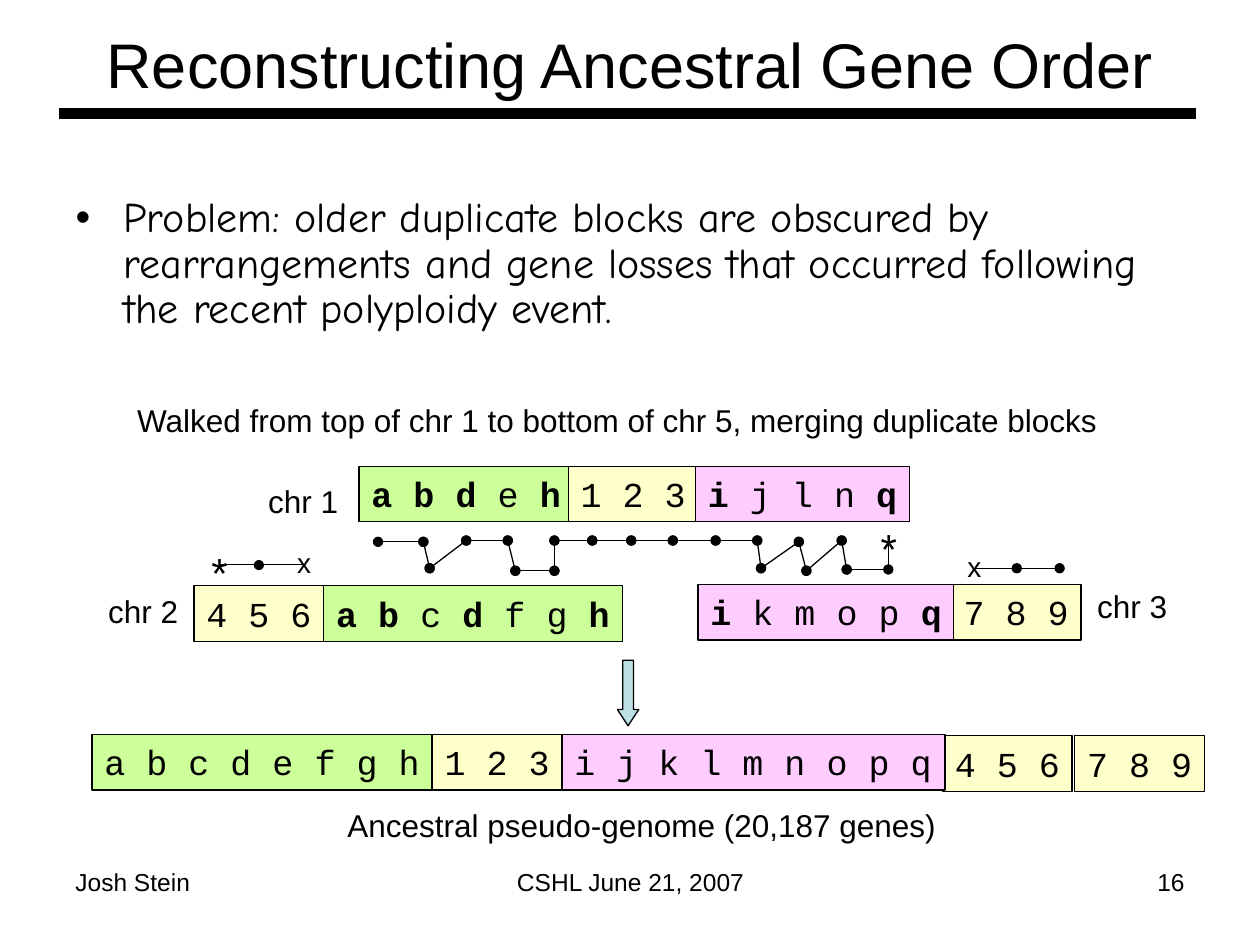
from dataclasses import dataclass
from itertools import pairwise

from lxml.etree import SubElement
from pptx import Presentation
from pptx.dml.color import RGBColor
from pptx.enum.shapes import MSO_CONNECTOR, MSO_SHAPE
from pptx.enum.text import MSO_ANCHOR, MSO_AUTO_SIZE, PP_ALIGN
from pptx.oxml.ns import qn
from pptx.util import Inches, Pt


@dataclass(frozen=True)
class Theme:
    """Colours, fonts and type sizes of the slide."""

    ink: RGBColor = RGBColor.from_string("000000")
    green: RGBColor = RGBColor.from_string("CCFF99")
    yellow: RGBColor = RGBColor.from_string("FFFFCC")
    pink: RGBColor = RGBColor.from_string("FFCCFF")
    blue: RGBColor = RGBColor.from_string("BBE0E3")
    sans: str = "Arial"
    hand: str = "Comic Neue"
    mono: str = "Courier New"
    title: int = 36
    body: int = 24
    gene: int = 20
    label: int = 18
    mark: int = 16
    footer: int = 14
    hairline: float = 0.75
    rule: float = 6


class SlideBuilder:
    """Adds styled elements to the current slide."""

    def __init__(self, slide, theme):
        """Keep the slide and its theme."""
        self.slide = slide
        self.theme = theme

    def style(self, paragraph, size, name):
        """Set the font of a paragraph."""
        paragraph.font.size = Pt(size)
        paragraph.font.name = name
        paragraph.font.color.rgb = self.theme.ink

    def place(self, shape, left, top, width, height):
        """Move and resize a placeholder."""
        shape.left, shape.top = Inches(left), Inches(top)
        shape.width, shape.height = Inches(width), Inches(height)
        shape.text_frame.auto_size = MSO_AUTO_SIZE.NONE

    def title(self, text, *box):
        """Fill the title placeholder."""
        shape = self.slide.shapes.title
        self.place(shape, *box)
        shape.text_frame.text = text
        shape.text_frame.vertical_anchor = MSO_ANCHOR.MIDDLE
        paragraph = shape.text_frame.paragraphs[0]
        paragraph.alignment = PP_ALIGN.CENTER
        self.style(paragraph, self.theme.title, self.theme.sans)

    def bullet(self, text, *box):
        """Fill the body placeholder with one bullet."""
        shape = self.slide.placeholders[1]
        self.place(shape, *box)
        shape.text_frame.text = text
        paragraph = shape.text_frame.paragraphs[0]
        paragraph.line_spacing = 0.9
        paragraph.space_before = Pt(0)
        properties = paragraph._p.get_or_add_pPr()
        properties.set("marL", str(Inches(0.38)))
        properties.set("indent", str(Inches(-0.38)))
        SubElement(properties, qn("a:buFont"), typeface=self.theme.sans)
        SubElement(properties, qn("a:buChar"), char="•")
        self.style(paragraph, self.theme.body, self.theme.hand)

    def text(self, text, left, top, width, height, size, align=PP_ALIGN.LEFT):
        """Add a text box; left-aligned text may run to the right edge."""
        shape = self.slide.shapes.add_textbox(Inches(left), Inches(top), Inches(width), Inches(height))
        frame = shape.text_frame
        frame.word_wrap = True
        frame.text = text
        if align == PP_ALIGN.LEFT:
            frame.margin_right = 0
        paragraph = frame.paragraphs[0]
        paragraph.alignment = align
        self.style(paragraph, size, self.theme.sans)

    def shape(self, kind, left, top, width, height, fill):
        """Add a filled shape with a thin outline."""
        shape = self.slide.shapes.add_shape(kind, Inches(left), Inches(top), Inches(width), Inches(height))
        shape.shadow.inherit = False
        shape.fill.solid()
        shape.fill.fore_color.rgb = fill
        shape.line.color.rgb = self.theme.ink
        shape.line.width = Pt(self.theme.hairline)
        return shape

    def block(self, genes, left, top, width, fill):
        """Add a gene block; genes between asterisks are bold."""
        shape = self.shape(MSO_SHAPE.RECTANGLE, left, top, width, 0.44, fill)
        frame = shape.text_frame
        frame.word_wrap = True
        frame.margin_right = 0
        frame.vertical_anchor = MSO_ANCHOR.TOP
        paragraph = frame.paragraphs[0]
        paragraph.alignment = PP_ALIGN.LEFT
        self.style(paragraph, self.theme.gene, self.theme.mono)
        for index, part in enumerate(genes.split("*")):
            if part:
                run = paragraph.add_run()
                run.text = part
                run.font.bold = index % 2 == 1

    def line(self, start, end, width=None, ends=None):
        """Add a straight line, with the same marker at both ends."""
        points = [Inches(value) for value in (*start, *end)]
        connector = self.slide.shapes.add_connector(MSO_CONNECTOR.STRAIGHT, *points)
        connector.line.color.rgb = self.theme.ink
        connector.line.width = Pt(width or self.theme.hairline)
        if ends:
            outline = connector.line._get_or_add_ln()
            SubElement(outline, qn("a:headEnd"), type=ends)
            SubElement(outline, qn("a:tailEnd"), type=ends)
        SubElement(connector._element.spPr, qn("a:effectLst"))

    def walk(self, points):
        """Join successive genes with dotted lines."""
        for start, end in pairwise(points):
            self.line(start, end, ends="oval")


def main():
    """Build and save the presentation."""
    presentation = Presentation()
    presentation.slide_width, presentation.slide_height = Inches(10), Inches(7.5)
    theme = Theme()
    builder = SlideBuilder(presentation.slides.add_slide(presentation.slide_layouts[1]), theme)

    builder.title("Reconstructing Ancestral Gene Order", 0.5, 0.3, 9, 0.4)
    builder.bullet(
        "Problem: older duplicate blocks are obscured by rearrangements and gene losses "
        "that occurred following the recent polyploidy event.",
        0.5, 1.51, 9, 1.2,
    )
    builder.line((0.47, 0.9), (9.49, 0.9), width=theme.rule)
    builder.line((3.45, 5.23), (3.45, 5.23), ends="diamond")

    for name, left, top in (("chr 1", 2.03, 3.78), ("chr 2", 0.76, 4.65), ("chr 3", 8.61, 4.61)):
        builder.text(name, left, top, 0.75, 0.4, theme.label)

    upper = 4.29
    builder.walk([
        (3, 4.3), (3.36, 4.3), (3.41, 4.51), (3.7, upper), (4.03, upper),
        (4.09, 4.53), (4.4, 4.53), (4.4, upper), (4.7, upper), (5.01, upper),
        (5.34, upper), (5.68, upper), (6.01, upper), (6.04, 4.51), (6.34, 4.3),
        (6.4, 4.53), (6.68, upper), (6.72, 4.52), (7.05, 4.52),
    ])
    builder.walk([(8.07, 4.51), (8.41, 4.51)])
    for start, end in (
        ((7.05, 4.31), (7.05, 4.52)),
        ((1.74, 4.48), (2.42, 4.48)),
        ((8.07, 4.51), (7.73, 4.51)),
    ):
        builder.line(start, end)
    builder.shape(MSO_SHAPE.OVAL, 2.02, 4.45, 0.07, 0.07, theme.ink)
    for left, top in ((6.89, 4.1), (1.58, 4.29)):
        builder.text("*", left, top, 0.33, 0.5, theme.body)
    for left, top in ((2.26, 4.28), (7.58, 4.31)):
        builder.text("x", left, top, 0.31, 0.37, theme.mark)

    for genes, left, top, width, fill in (
        ("*a b d* e *h*", 2.85, 3.7, 1.7, theme.green),
        ("1 2 3", 4.51, 3.7, 1.03, theme.yellow),
        ("*i* j l n *q*", 5.52, 3.7, 1.7, theme.pink),
        ("4 5 6", 1.54, 4.65, 1.03, theme.yellow),
        ("*a b *c *d* f g* h*", 2.57, 4.65, 2.37, theme.green),
        ("7 8 9", 7.55, 4.64, 1.03, theme.yellow),
        ("*i* k m o p *q*", 5.54, 4.64, 2.03, theme.pink),
        ("4 5 6", 7.48, 5.84, 1.03, theme.yellow),
        ("a b c d e f g h", 0.73, 5.83, 2.7, theme.green),
        ("1 2 3", 3.43, 5.83, 1.03, theme.yellow),
        ("i j k l m n o p q", 4.46, 5.83, 3.04, theme.pink),
        ("7 8 9", 8.53, 5.84, 1.03, theme.yellow),
    ):
        builder.block(genes, left, top, width, fill)

    arrow = builder.shape(MSO_SHAPE.DOWN_ARROW, 4.9, 5.24, 0.17, 0.52, theme.blue)
    arrow.adjustments[0], arrow.adjustments[1] = 0.5, 0.76
    builder.text(
        "Walked from top of chr 1 to bottom of chr 5, merging duplicate blocks",
        0.99, 3.13, 7.89, 0.4, theme.label,
    )
    builder.text("Ancestral pseudo-genome (20,187 genes)", 2.66, 6.35, 4.87, 0.4, theme.label)

    for text, left, width, align in (
        ("Josh Stein", 0.5, 2.33, PP_ALIGN.LEFT),
        ("CSHL June 21, 2007", 3.42, 3.17, PP_ALIGN.CENTER),
        ("16", 7.17, 2.33, PP_ALIGN.RIGHT),
    ):
        builder.text(text, left, 6.83, width, 0.52, theme.footer, align)

    presentation.save("out.pptx")


if __name__ == "__main__":
    main()
